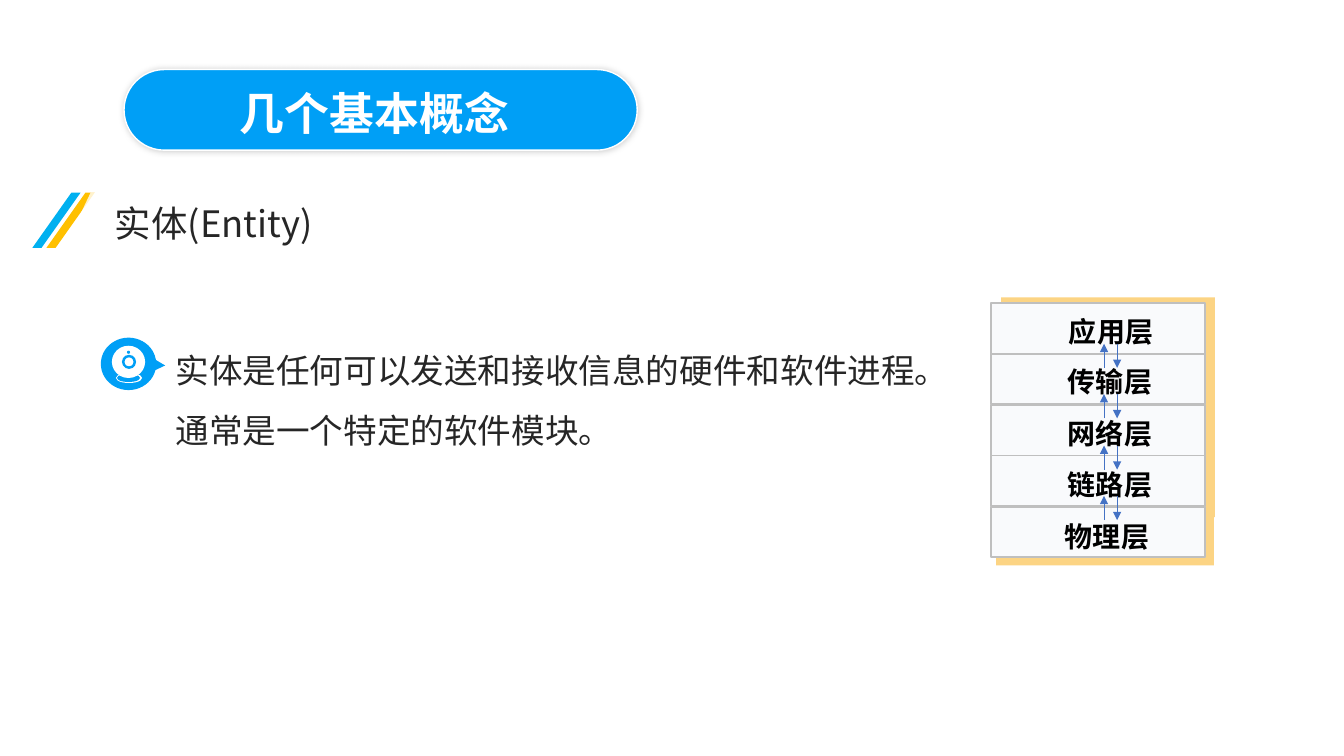
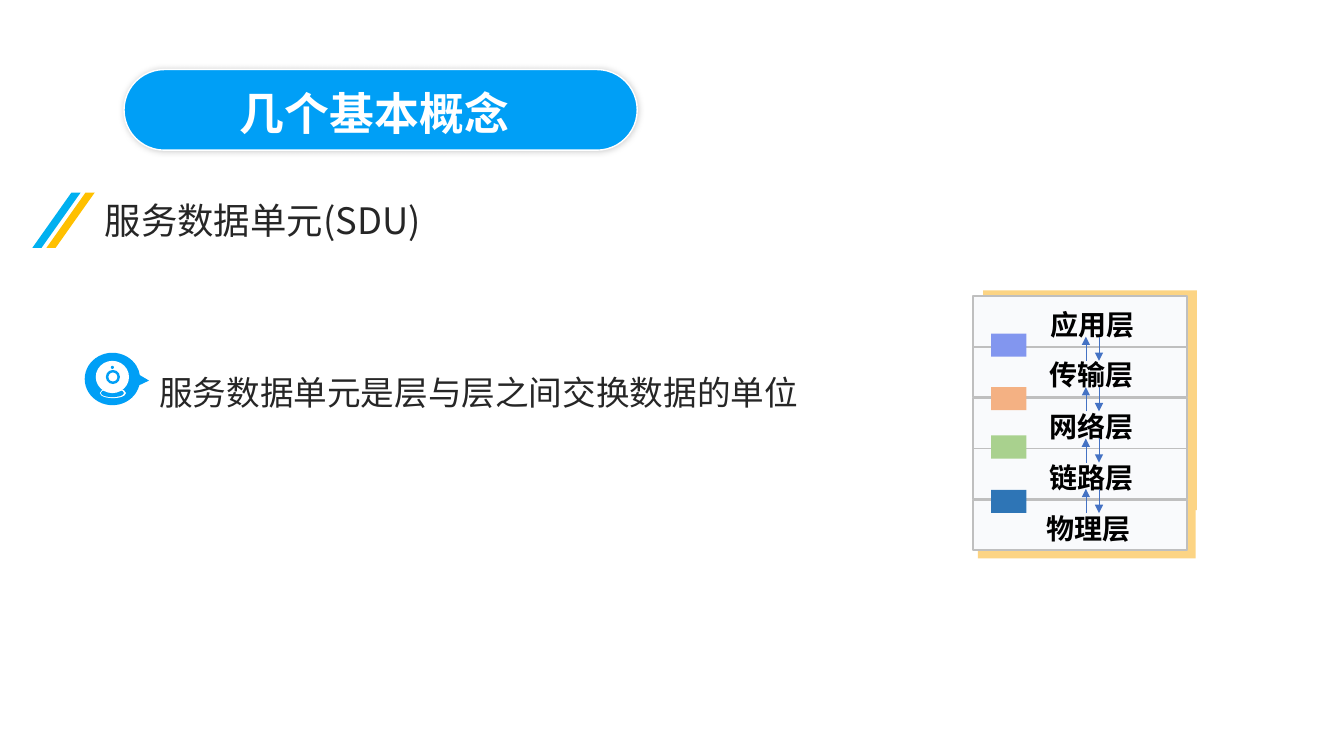
import dataclasses

import pptx
import pptx.dml.color
import pptx.enum.shapes
import pptx.enum.text
import pptx.oxml
import pptx.oxml.ns
import pptx.util
from lxml import etree

PX = 9144  # one px is a hundredth of an inch
SHAPE = pptx.enum.shapes.MSO_SHAPE
ALIGN = pptx.enum.text.PP_ALIGN
qn = pptx.oxml.ns.qn


@dataclasses.dataclass(frozen=True)
class Theme:
    blue: str = "009FF6"
    sky: str = "00B0F0"
    amber: str = "FFC000"
    white: str = "FFFFFF"
    ink: str = "262626"
    black: str = "000000"
    slab: str = "FCD484"
    card: str = "F9FAFC"
    card_edge: str = "BFBFBF"
    arrow: str = "4472C4"
    title_font: str = "Noto Sans CJK JP"
    cjk_font: str = "Noto Sans CJK SC"
    latin_font: str = "Times New Roman"
    title_size: int = 32
    heading_size: int = 26
    body_size: int = 24
    label_size: int = 20


THEME = Theme()

# Text styles: font attributes, colour and East Asian typeface
STYLES = {
    "title": ({"name": THEME.title_font, "size": pptx.util.Pt(THEME.title_size), "bold": True},
              THEME.white, THEME.title_font),
    "heading": ({"name": THEME.cjk_font, "size": pptx.util.Pt(THEME.heading_size), "bold": False},
                THEME.ink, THEME.cjk_font),
    "body": ({"name": THEME.latin_font, "size": pptx.util.Pt(THEME.body_size), "bold": False},
             THEME.ink, THEME.cjk_font),
    "label": ({"name": THEME.latin_font, "size": pptx.util.Pt(THEME.label_size), "bold": True},
              THEME.black, THEME.cjk_font),
}

# Layers in drawing order: name, row, slab box and label place relative to the card
LAYERS = [
    ("链路层", 3, (10, -8, 212, 69), (65, 7)),
    ("网络层", 2, (10, -5, 212, 55), (65, 6)),
    ("传输层", 1, (10, -6, 212, 55), (65, 6)),
    ("应用层", 0, (10, -6, 212, 55), (66, 6)),
    ("物理层", 4, (5, 0, 216, 58), (62, 7)),
]

SDU_BLOCKS = [(331, "8296EF"), (384, "F4B183"), (432, "A9D18E"), (486, "2E75B6")]


def emu(*lengths):
    return [length * PX for length in lengths]


def rgb(colour):
    return pptx.dml.color.RGBColor.from_string(colour)


# Basic elements
def add_block(slide, kind, box, fill, edge=None, edge_width=1.0, adjust=()):
    block = slide.shapes.add_shape(kind, *emu(*box))
    block.shadow.inherit = False
    block.fill.solid()
    block.fill.fore_color.rgb = rgb(fill)
    if edge:
        block.line.color.rgb = rgb(edge)
        block.line.width = pptx.util.Pt(edge_width)
    else:
        block.line.fill.background()
    for index, value in enumerate(adjust):
        block.adjustments[index] = value
    return block


def write(holder, text, style, align=ALIGN.LEFT, spacing=1.0, wrap=True):
    font_values, colour, east_asian = STYLES[style]
    frame = holder.text_frame
    frame_values = {
        "word_wrap": wrap,
        "auto_size": pptx.enum.text.MSO_AUTO_SIZE.SHAPE_TO_FIT_TEXT,
        "vertical_anchor": pptx.enum.text.MSO_ANCHOR.TOP,
    }
    for name, value in frame_values.items():
        setattr(frame, name, value)
    paragraph = frame.paragraphs[0]
    paragraph_values = {"alignment": align, "line_spacing": spacing,
                        "space_before": pptx.util.Pt(0)}
    for name, value in paragraph_values.items():
        setattr(paragraph, name, value)
    run = paragraph.add_run()
    run.text = text
    for name, value in font_values.items():
        setattr(run.font, name, value)
    run.font.color.rgb = rgb(colour)
    typeface = pptx.oxml.parse_xml(
        f'<a:ea {pptx.oxml.ns.nsdecls("a")} typeface="{east_asian}"/>')
    run.font._element.find(qn("a:latin")).addnext(typeface)


def add_text(slide, box, text, style, **layout):
    write(slide.shapes.add_textbox(*emu(*box)), text, style, **layout)


def fill_placeholder(slide, holder, box, text, style, **layout):
    """Move a placeholder to its box, above what is drawn so far."""
    slide.shapes._spTree.append(holder._element)
    for name, value in zip(("left", "top", "width", "height"), emu(*box)):
        setattr(holder, name, value)
    properties = holder.text_frame.paragraphs[0]._p.get_or_add_pPr()
    properties.set("marL", "0")
    properties.set("indent", "0")
    etree.SubElement(properties, qn("a:buNone"))
    write(holder, text, style, **layout)


def add_arrow(slide, x, start, end):
    arrow = slide.shapes.add_connector(
        pptx.enum.shapes.MSO_CONNECTOR.STRAIGHT, *emu(x, start, x, end))
    arrow.line.color.rgb = rgb(THEME.arrow)
    arrow.line.width = pptx.util.Pt(0.5)
    etree.SubElement(arrow.line._get_or_add_ln(), qn("a:tailEnd"), type="triangle")
    etree.SubElement(arrow._element.spPr, qn("a:effectLst"))


# Parts shared by the slides
def add_title(slide):
    pill = add_block(slide, SHAPE.ROUNDED_RECTANGLE, (123, 69, 509, 80),
                     THEME.blue, THEME.white, adjust=[0.5])
    glow = etree.SubElement(pill._element.spPr.find(qn("a:effectLst")), qn("a:outerShdw"),
                            blurRad=str(pptx.util.Pt(5)), dist="0", dir="0",
                            algn="ctr", rotWithShape="0")
    shade = etree.SubElement(glow, qn("a:srgbClr"), val=THEME.black)
    etree.SubElement(shade, qn("a:alpha"), val="20000")
    fill_placeholder(slide, slide.shapes.title, (228, 80, 462, 64), "几个基本概念", "title")


def add_heading(slide, text, left, top, band_left, band_right):
    for stripe_left, colour in ((32, THEME.sky), (46, THEME.amber)):
        add_block(slide, SHAPE.PARALLELOGRAM, (stripe_left, 191, 48, 55), colour,
                  adjust=[0.81])
    outline = slide.shapes.build_freeform(band_left, 191, scale=PX)
    outline.add_line_segments([(63, 248), (band_right, 248), (band_right, 191)])
    band = outline.convert_to_shape()
    band.shadow.inherit = False
    band.line.fill.background()
    band.fill.solid()
    band.fill.fore_color.rgb = rgb(THEME.white)
    tint = band._element.spPr.find(qn("a:solidFill"))[0]
    etree.SubElement(tint, qn("a:alpha"), val="80000")
    add_text(slide, (left, top, 445, 54), text, "heading")


def add_camera_bullet(slide, left, top):
    add_block(slide, SHAPE.OVAL_CALLOUT, (left, top, 55, 52), THEME.blue,
              adjust=[0.66, 0.03])
    camera = [
        (SHAPE.OVAL, (15, 35, 26, 10), THEME.white, []),   # foot
        (SHAPE.OVAL, (16, 36, 23, 8), THEME.blue, []),     # foot opening
        (SHAPE.OVAL, (11, 8, 33, 32), THEME.white, []),    # head
        (SHAPE.DONUT, (21, 17, 14, 14), THEME.blue, [0.18]),  # lens
        (SHAPE.OVAL, (26, 13, 3, 3), THEME.blue, []),      # light
    ]
    for kind, (x, y, width, height), colour, adjust in camera:
        add_block(slide, kind, (left + x, top + y, width, height), colour, adjust=adjust)


def add_layer_stack(slide, left, top):
    def row_top(row):
        return top + row * 101 // 2

    for name, row, (x, y, width, height), (label_x, label_y) in LAYERS:
        card_top = row_top(row)
        add_block(slide, SHAPE.RECTANGLE, (left + x, card_top + y, width, height), THEME.slab)
        add_block(slide, SHAPE.RECTANGLE, (left, card_top, 212, 50), THEME.card,
                  THEME.card_edge, 1.25)
        add_text(slide, (left + label_x, card_top + label_y, 106, 44), name, "label",
                 align=ALIGN.CENTER, wrap=False)
    # Traffic between neighbouring layers
    for row in range(len(LAYERS) - 1):
        upper, lower = row_top(row) + 40, row_top(row) + 64
        add_arrow(slide, left + 125, upper, lower)
        add_arrow(slide, left + 112, lower, upper)


def add_concept_slide(deck, heading, bullet, description, box, spacing, stack):
    slide = deck.slides.add_slide(deck.slide_layouts[1])
    add_title(slide)
    add_heading(slide, *heading)
    add_camera_bullet(slide, *bullet)
    fill_placeholder(slide, slide.placeholders[1], box, description, "body", spacing=spacing)
    add_layer_stack(slide, *stack)
    return slide


def main():
    deck = pptx.Presentation()
    deck.slide_width, deck.slide_height = pptx.util.Inches(13.33), pptx.util.Inches(7.5)

    # Entity
    add_concept_slide(
        deck, ("实体(Entity)", 104, 195, 90, 383), (100, 335),
        "实体是任何可以发送和接收信息的硬件和软件进程。通常是一个特定的软件模块。",
        (164, 322, 788, 131), 1.5, (983, 301))

    # Service data unit
    sdu_slide = add_concept_slide(
        deck, ("服务数据单元(SDU)", 94, 192, 95, 441), (84, 350),
        "服务数据单元是层与层之间交换数据的单位",
        (148, 324, 720, 91), 2.0, (965, 294))
    for block_top, colour in SDU_BLOCKS:
        add_block(sdu_slide, SHAPE.RECTANGLE, (983, block_top, 35, 23), colour)

    deck.save("out.pptx")


if __name__ == "__main__":
    main()
